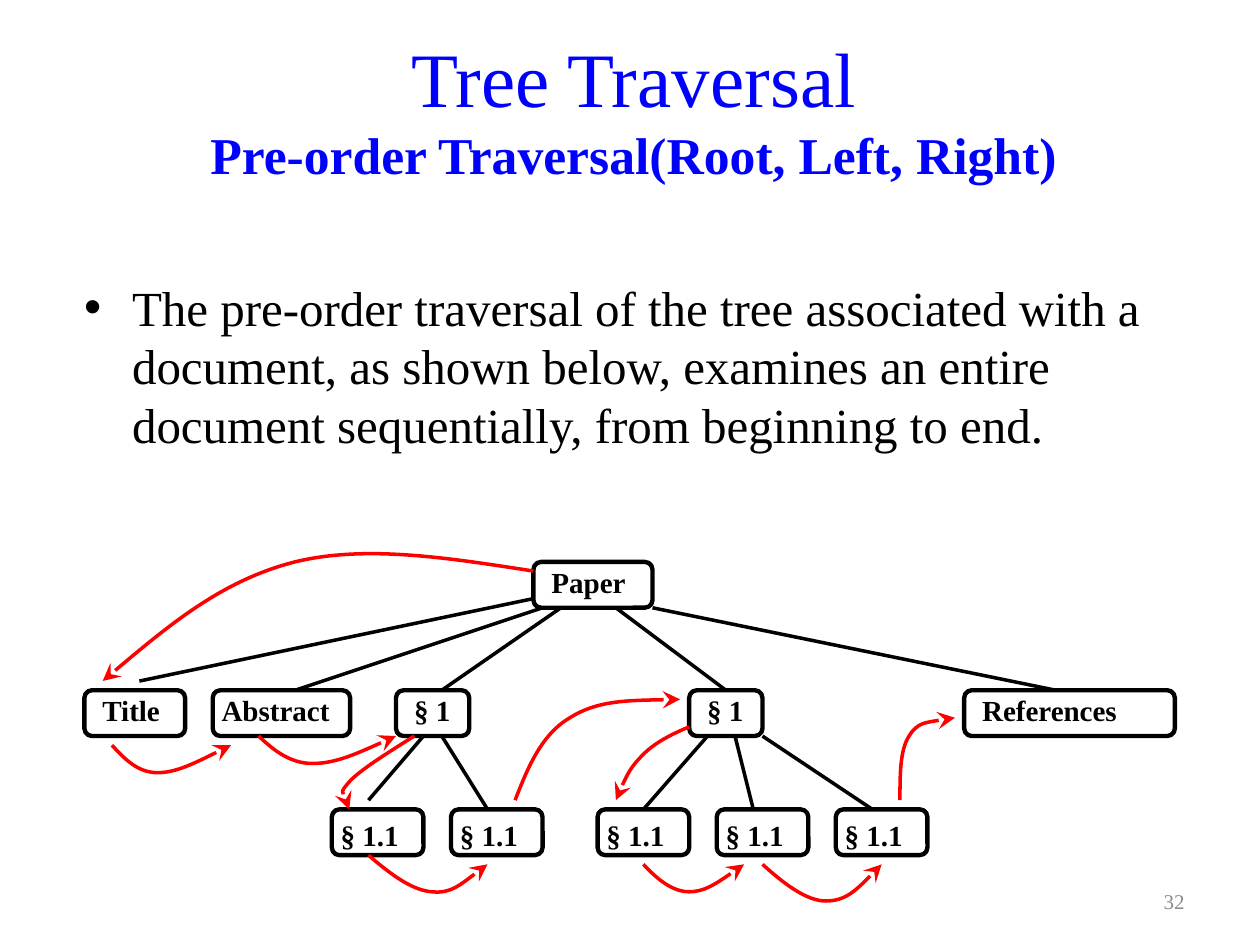
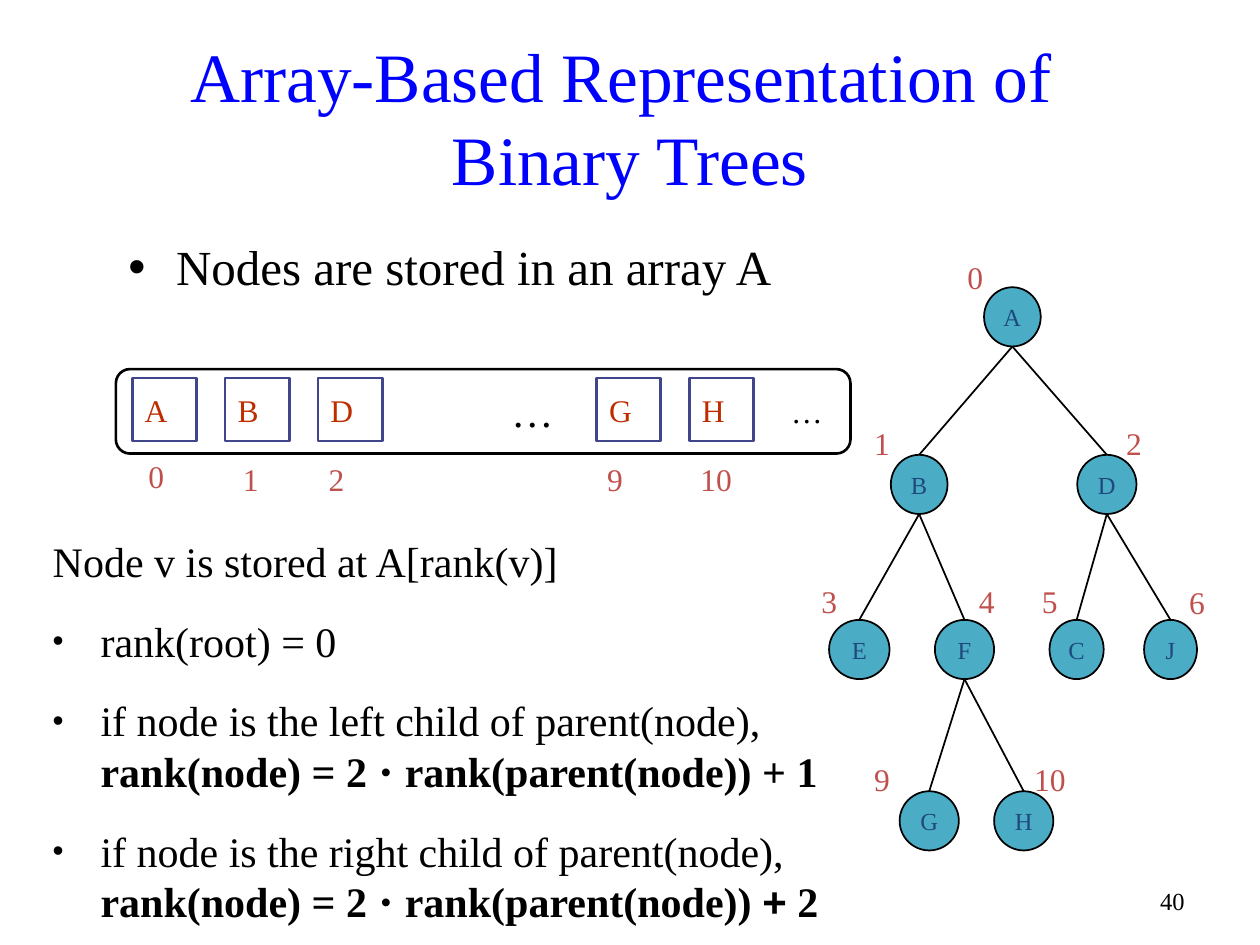
from dataclasses import dataclass
from typing import NamedTuple

from pptx import Presentation
from pptx.dml.color import RGBColor
from pptx.enum import shapes, text
from pptx.oxml import ns, xmlchemy
from pptx.util import Emu, Inches, Pt


@dataclass(frozen=True)
class Theme:
    font: str = "Times New Roman"
    symbol_font: str = "Arial"
    ink: str = "000000"
    title: str = "0000FF"
    arrow: str = "FF0000"
    muted: str = "8C8C8C"
    rank: str = "C0504D"
    node_fill: str = "4BACC6"
    node_text: str = "1F497D"
    cell_line: str = "40458C"
    cell_text: str = "BE2D00"
    heading_size: float = 44
    long_heading_size: float = 39.6
    subheading_size: float = 29.5
    body_size: float = 28
    list_size: float = 24
    rank_size: float = 18
    section_size: float = 16.6
    node_size: float = 14
    small_size: float = 12


@dataclass(frozen=True)
class Grid:
    left: float
    top: float
    cell: float

    def point(self, column: float, row: float) -> tuple[Emu, Emu]:
        return Inches(self.left + column * self.cell), Inches(self.top + row * self.cell)

    def area(self, column: float, row: float, columns: float, rows: float) -> tuple[Emu, ...]:
        return *self.point(column, row), Inches(columns * self.cell), Inches(rows * self.cell)


THEME = Theme()
PAGE = Grid(0, 0, 0.1)
TREE = Grid(0.67, 4.46, 8 / 110)


class Span(NamedTuple):
    words: str
    size: float
    color: str
    bold: bool = False
    font: str = THEME.font


class Section(NamedTuple):
    words: str
    column: int
    row: int
    columns: int
    indent: int


class Node(NamedTuple):
    name: str
    column: float
    row: float
    columns: float
    rank: str
    rank_column: float
    rank_row: float
    parent: str = ""


class Slot(NamedTuple):
    name: str
    index: int
    rank: str
    rank_column: float
    rank_row: float = 36


BREAK = Span("\n", 0, "")
ROUNDED = shapes.MSO_SHAPE.ROUNDED_RECTANGLE
LEFT, CENTER, RIGHT = text.PP_ALIGN.LEFT, text.PP_ALIGN.CENTER, text.PP_ALIGN.RIGHT
TOP, MIDDLE = text.MSO_ANCHOR.TOP, text.MSO_ANCHOR.MIDDLE

SECTION_ROWS = 5
LEAF_ROW = 27
CORNER_INSET = 0.02
SECTIONS = [
    Section("Paper", 49, 0, 13, 2),
    Section("Title", 0, 14, 11, 2),
    Section("Abstract", 14, 14, 15, 1),
    Section("§ 1", 34, 14, 8, 2),
    Section("§ 1", 66, 14, 8, 2),
    Section("References", 96, 14, 23, 2),
    *(Section("§ 1.1", column, LEAF_ROW, 10, 1) for column in (27, 40, 56, 69, 82)),
]
BRANCHES = [
    ((49, 4), (6, 13)), ((50, 5), (23, 14)), ((52, 5), (39, 14)),
    ((58, 5), (70, 14)), ((62, 5), (106, 14)),
    ((37, 19), (31, 26)), ((39, 19), (44, 27)),
    ((68, 19), (61, 27)), ((71, 19), (73, 27)), ((74, 19), (86, 27)),
]
VISITS = [
    [(49, 1), (39.9, -0.4), (30.8, -1.9), (23, 0), (15.1, 2), (8.5, 7.5), (2, 13)],
    [(3, 20), (4.4, 21.5), (5.8, 23), (8, 23), (10, 23), (13, 21.5), (16, 20)],
    [(19, 19), (20.6, 20.5), (22.4, 22), (24.9, 22), (27.4, 22), (30.7, 20.5), (34, 19)],
    [(36, 19), (33, 20.9), (30.1, 22.7), (28.9, 24), (27.8, 25.3), (28.3, 26.1), (28.9, 27)],
    [(31, 32), (33.3, 34), (35.8, 35.9), (38, 36), (40, 36.2), (42, 34.5), (44, 33)],
    [(47, 26), (48.4, 22.4), (49.9, 18.8), (53, 17), (56, 15.1), (60.4, 15.1), (65, 15)],
    [(66, 18), (64.1, 18.8), (62.3, 19.7), (61, 21), (59.6, 22.4), (58.7, 24.2), (58, 26)],
    [(61, 33), (62.4, 34.5), (64.1, 36), (66, 36), (67.7, 36), (69.9, 34.5), (72, 33)],
    [(74, 33), (76.3, 35.1), (78.8, 37), (80.9, 37), (83.1, 37), (85, 35.1), (87, 33)],
    [(89, 26), (89, 23.2), (89, 20.5), (90, 19), (90.9, 17.5), (93, 17.3), (95, 17)],
]
NODE_ROWS = 4.7
NODES = [
    Node("A", 78.1, 22.8, 4.5, "0", 75.8, 20),
    Node("B", 70.7, 36.1, 4.5, "1", 68.4, 33.2, "A"),
    Node("D", 85.5, 36.1, 4.7, "2", 88.4, 33.2, "A"),
    Node("E", 65.8, 49.2, 4.8, "3", 64.2, 45.7, "B"),
    Node("F", 74.2, 49.2, 4.7, "4", 76.7, 45.7, "B"),
    Node("C", 83.3, 49.2, 4.3, "5", 81.7, 45.7, "D"),
    Node("J", 90.8, 49.2, 4.2, "6", 93.4, 45.8, "D"),
    Node("G", 71.4, 62.8, 4.7, "9", 68.4, 59.8, "F"),
    Node("H", 78.9, 62.8, 4.7, "10", 81.1, 59.8, "F"),
]
SLOT_START, SLOT_PITCH = 10.5, 7.37
SLOTS = [
    Slot("A", 0, "0", 10.8, 35.8), Slot("B", 1, "1", 18.3), Slot("D", 2, "2", 25.1),
    Slot("G", 5, "9", 47.2), Slot("H", 6, "10", 54.6),
]


def add_spans(para, spans: list[Span], align=LEFT) -> None:
    para.alignment = align
    for span in spans:
        if span is BREAK:
            para.add_line_break()
            continue
        run = para.add_run()
        run.text = span.words
        run.font.name = span.font
        run.font.size = Pt(span.size)
        run.font.bold = span.bold
        run.font.color.rgb = RGBColor.from_string(span.color)


def add_bullet(para, percent: int = 100) -> None:
    properties = para._p.get_or_add_pPr()
    properties.set("marL", str(Inches(0.38)))
    properties.set("indent", str(Inches(-0.38)))
    for tag, key, value in (("a:buSzPct", "val", str(percent * 1000)),
                            ("a:buFont", "typeface", THEME.symbol_font),
                            ("a:buChar", "char", "•")):
        child = xmlchemy.OxmlElement(tag)
        child.set(key, value)
        properties.append(child)


def add_text(page, area: tuple, spans: list[Span], align=LEFT, anchor=TOP, wrap: bool = True):
    box = page.shapes.add_textbox(*area)
    frame = box.text_frame
    frame.word_wrap = wrap
    frame.vertical_anchor = anchor
    add_spans(frame.paragraphs[0], spans, align)
    return frame


def add_body(page, area: tuple, words: str) -> None:
    frame = add_text(page, area, [Span(words, THEME.body_size, THEME.ink)])
    frame.paragraphs[0].space_before = Pt(0.2 * THEME.body_size)
    add_bullet(frame.paragraphs[0])


def add_number(page, number: str, size: float, color: str) -> None:
    add_text(page, PAGE.area(71.7, 69.5, 23.3, 4), [Span(number, size, color)], RIGHT, MIDDLE)


def add_box(page, kind, area: tuple, line: str, weight: float, fill: str = ""):
    box = page.shapes.add_shape(kind, *area)
    box.shadow.inherit = False
    box.line.color.rgb = RGBColor.from_string(line)
    box.line.width = Pt(weight)
    if fill:
        box.fill.solid()
        box.fill.fore_color.rgb = RGBColor.from_string(fill)
    else:
        box.fill.background()
    return box


def add_line(page, start: tuple, end: tuple, weight: float):
    line = page.shapes.add_connector(shapes.MSO_CONNECTOR.STRAIGHT, *start, *end)
    line.line.color.rgb = RGBColor.from_string(THEME.ink)
    line.line.width = Pt(weight)
    line.element.spPr.append(xmlchemy.OxmlElement("a:effectLst"))
    return line


def add_curve(page, points: list[tuple[float, float]]) -> None:
    start, *rest = [TREE.point(*point) for point in points]
    builder = page.shapes.build_freeform(*start)
    builder.add_line_segments(rest, close=False)
    curve = builder.convert_to_shape()
    curve.shadow.inherit = False
    curve.fill.background()
    curve.line.color.rgb = RGBColor.from_string(THEME.arrow)
    curve.line.width = Pt(2)
    segments = list(curve.element.iter(ns.qn("a:lnTo")))
    for first in range(0, len(segments), 3):
        bezier = xmlchemy.OxmlElement("a:cubicBezTo")
        segments[first].addprevious(bezier)
        for segment in segments[first:first + 3]:
            bezier.append(segment[0])
            segment.getparent().remove(segment)
    tip = xmlchemy.OxmlElement("a:tailEnd")
    for key, value in (("type", "stealth"), ("w", "lg"), ("len", "lg")):
        tip.set(key, value)
    curve.element.spPr.find(ns.qn("a:ln")).append(tip)


def add_section(page, section: Section):
    area = TREE.area(section.column, section.row, section.columns, SECTION_ROWS)
    box = add_box(page, ROUNDED, area, THEME.ink, 2.5)
    frame = box.text_frame
    frame.word_wrap = False
    frame.vertical_anchor = TOP
    frame.margin_left = Inches(section.indent * TREE.cell - CORNER_INSET)
    frame.margin_right = frame.margin_bottom = 0
    frame.margin_top = Inches(0.05 if section.row == LEAF_ROW else 0)
    add_spans(frame.paragraphs[0], [Span(section.words, THEME.section_size, THEME.ink, True)])
    return box


def add_rank(page, rank: str, column: float, row: float) -> None:
    area = PAGE.area(column, row, 2 + 1.4 * len(rank), 4)
    add_text(page, area, [Span(rank, THEME.rank_size, THEME.rank)], wrap=False)


def build_traversal(deck) -> None:
    page = deck.slides.add_slide(deck.slide_layouts[6])
    add_text(page, PAGE.area(5.3, 1.7, 90, 13.7), [
        Span("Tree Traversal", THEME.heading_size, THEME.title), BREAK,
        Span("Pre-order Traversal(Root, Left, Right)", THEME.subheading_size, THEME.title, True),
    ], CENTER, MIDDLE)
    add_body(page, PAGE.area(5.7, 21.5, 90, 17.4),
             "The pre-order traversal of the tree associated with a document, as shown below, "
             "examines an entire document sequentially, from beginning to end.")
    top_middles = {}
    for section in SECTIONS:
        box = add_section(page, section)
        top_middles[section.column + section.columns / 2, section.row] = box
    for start, end in BRANCHES:
        line = add_line(page, TREE.point(*start), TREE.point(*end), 2)
        if end in top_middles:
            line.end_connect(top_middles[end], 0)
    for points in VISITS:
        add_curve(page, points)
    add_number(page, "32", THEME.small_size, THEME.muted)


def add_rules(page) -> None:
    def plain(words: str) -> Span:
        return Span(words, THEME.list_size, THEME.ink)

    def strong(words: str, font: str = THEME.font) -> Span:
        return Span(words, THEME.list_size, THEME.ink, True, font)

    frame = add_text(page, PAGE.area(3.2, 42, 73.6, 31.5), [plain("Node v is stored at A[rank(v)]")])
    for spans in (
        [plain("rank(root) = 0")],
        [plain("if node is the left child of parent(node),"), BREAK,
         strong("rank(node) = 2 ⋅ rank(parent(node)) + 1")],
        [plain("if node is the right child of parent(node),"), BREAK,
         strong("rank(node) = 2 ⋅ rank(parent(node)) "), strong("+", THEME.symbol_font), strong(" 2")],
    ):
        para = frame.add_paragraph()
        add_spans(para, spans)
        add_bullet(para, 75)
    for para in frame.paragraphs:
        para.space_before = Pt(0.2 * THEME.list_size)
        para.space_after = Pt(12)


def build_array(deck) -> None:
    page = deck.slides.add_slide(deck.slide_layouts[6])
    add_text(page, PAGE.area(5, 3, 90, 12.5), [
        Span("Array-Based Representation of ", THEME.long_heading_size, THEME.title), BREAK,
        Span("Binary Trees", THEME.long_heading_size, THEME.title),
    ], CENTER, MIDDLE)
    add_body(page, PAGE.area(9.2, 18.3, 85, 6.7), "Nodes are stored in an array A")
    add_rules(page)
    circles = {}
    for node in NODES:
        area = PAGE.area(node.column, node.row, node.columns, NODE_ROWS)
        circle = add_box(page, shapes.MSO_SHAPE.OVAL, area, THEME.ink, 1, THEME.node_fill)
        circle.text_frame.word_wrap = False
        circle.text_frame.vertical_anchor = MIDDLE
        add_spans(circle.text_frame.paragraphs[0],
                  [Span(node.name, THEME.node_size, THEME.node_text)], CENTER)
        circles[node.name] = circle
        add_rank(page, node.rank, node.rank_column, node.rank_row)
        if node.parent:
            parent = circles[node.parent]
            start = parent.left + parent.width // 2, parent.top + parent.height
            line = add_line(page, start, (circle.left + circle.width // 2, circle.top), 1)
            line.end_connect(circle, 0)
    for slot in SLOTS:
        area = PAGE.area(SLOT_START + slot.index * SLOT_PITCH, 30, 5.1, 5)
        cell = add_box(page, shapes.MSO_SHAPE.RECTANGLE, area, THEME.cell_line, 1.5)
        cell.text_frame.vertical_anchor = MIDDLE
        add_spans(cell.text_frame.paragraphs[0], [Span(slot.name, THEME.rank_size, THEME.cell_text)])
        add_rank(page, slot.rank, slot.rank_column, slot.rank_row)
    for column, size, anchor in ((39.6, THEME.list_size, TOP), (61.8, THEME.rank_size, MIDDLE)):
        add_text(page, PAGE.area(column, 30.1, 5, 5), [Span("…", size, THEME.ink)],
                 anchor=anchor, wrap=False)
    add_box(page, ROUNDED, PAGE.area(9.2, 29.3, 58.3, 6.7), THEME.ink, 1.5)
    add_number(page, "40", THEME.node_size, THEME.ink)


def main() -> None:
    deck = Presentation()
    deck.slide_width, deck.slide_height = PAGE.point(100, 75)
    build_traversal(deck)
    build_array(deck)
    deck.save("out.pptx")


if __name__ == "__main__":
    main()
